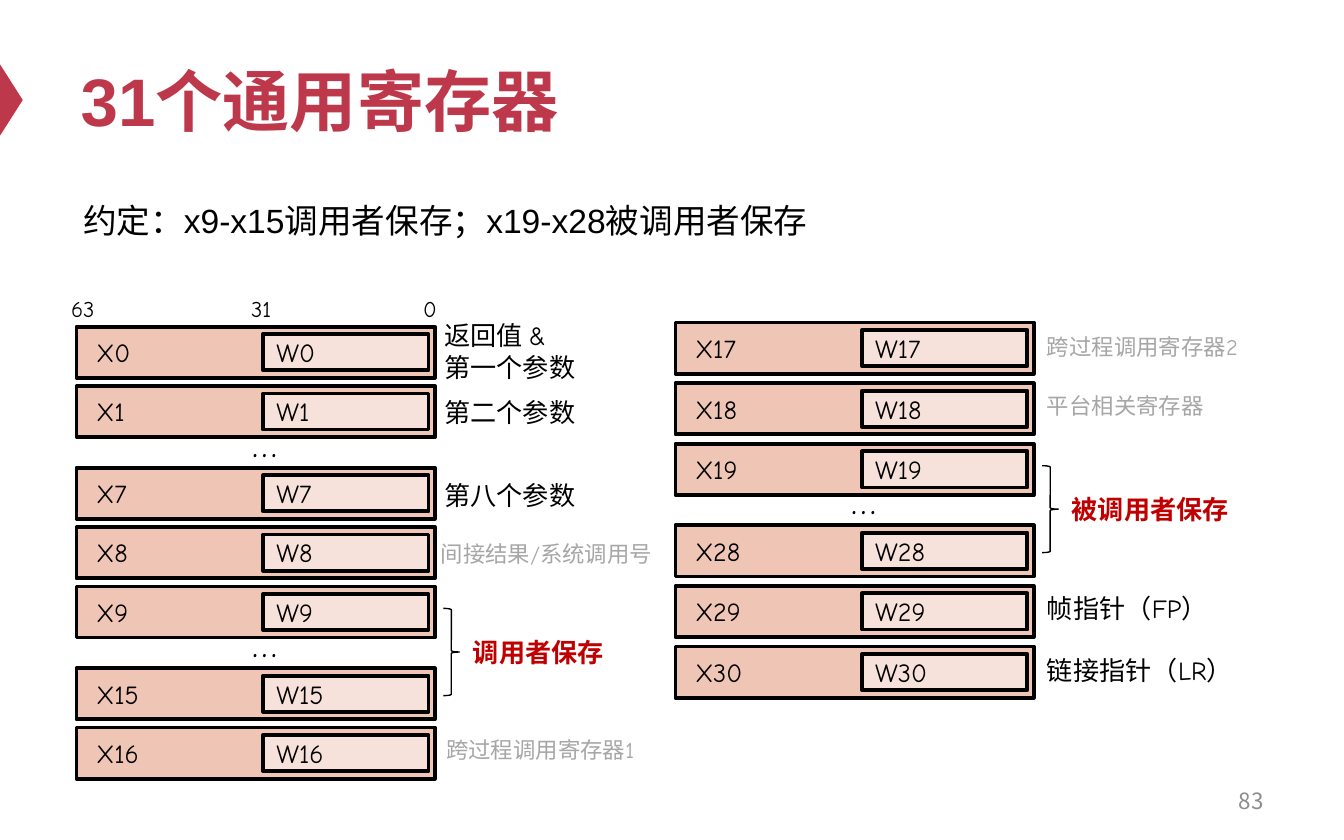
import pptx
import pptx.dml.color
import pptx.enum.shapes
import pptx.enum.text
import pptx.oxml
import pptx.oxml.ns
import pptx.util

Pt = pptx.util.Pt
SHAPES = pptx.enum.shapes.MSO_SHAPE
ANCHORS = pptx.enum.text.MSO_ANCHOR
ALIGNS = pptx.enum.text.PP_ALIGN

LATIN, CHINESE = "Comic Neue", "Noto Sans CJK SC"
CRIMSON, BLACK, GREY, RED = "BE384B", "000000", "A6A6A6", "C00000"
ROW_WIDTH, ROW_HEIGHT = 192, 27.4
HALF_LEFT, HALF_WIDTH, HALF_HEIGHT = 100, 88.6, 19.4

# Each row: register number, label, label size, colour, label offset from the row.
LEFT_ROWS = [
    (0, "返回值 &\n第一个参数", 14, BLACK, 190, -7.2),
    (1, "第二个参数", 14, BLACK, 190, 2),
    (7, "第八个参数", 14, BLACK, 190, 2.5),
    (8, "间接结果/系统调用号", 12, GREY, 188, 3.5),
    (9, "", 14, BLACK, 190, 0),
    (15, "", 14, BLACK, 190, 0),
    (16, "跨过程调用寄存器1", 12, GREY, 191, 1),
]
RIGHT_ROWS = [
    (17, "跨过程调用寄存器2", 12, GREY, 192, 2),
    (18, "平台相关寄存器", 12, GREY, 192, 1.5),
    (19, "", 14, BLACK, 192, 0),
    (28, "", 14, BLACK, 192, 0),
    (29, "帧指针（FP）", 14, BLACK, 192, 0),
    (30, "链接指针（LR）", 14, BLACK, 192, 0.5),
]


def colour(value):
    return pptx.dml.color.RGBColor.from_string(value)


def write(frame, text, size, ink, font=LATIN, bold=False):
    """Fill a frame with one paragraph, with a font for each script."""
    para = frame.paragraphs[0]
    para.text = text
    for span in para.runs:
        span.font.size = Pt(size)
        span.font.bold = bold
        span.font.name = font
        span.font.color.rgb = colour(ink)
        east_asian = pptx.oxml.parse_xml(
            f'<a:ea {pptx.oxml.ns.nsdecls("a")} typeface="{CHINESE}"/>')
        span.font._element.append(east_asian)
    return para


def add_text(page, left, top, width, height, text, size=14, ink=BLACK,
             font=LATIN, bold=False, wrap=True):
    box = page.shapes.add_textbox(Pt(left), Pt(top), Pt(width), Pt(height))
    box.text_frame.word_wrap = wrap
    write(box.text_frame, text, size, ink, font, bold)
    return box


def add_shape(page, kind, left, top, width, height, fill=None, line=None):
    shape = page.shapes.add_shape(kind, Pt(left), Pt(top), Pt(width), Pt(height))
    shape.shadow.inherit = False
    if fill:
        shape.fill.solid()
        shape.fill.fore_color.rgb = colour(fill)
    else:
        shape.fill.background()
    if line:
        shape.line.color.rgb = colour(BLACK)
        shape.line.width = Pt(line)
    else:
        shape.line.fill.background()
    return shape


def add_heading(page):
    marker = add_shape(page, SHAPES.ISOSCELES_TRIANGLE, -13, 47.5, 38.2, 12.2, CRIMSON)
    marker.rotation = 90
    title = page.shapes.title
    title.left, title.top, title.width, title.height = Pt(36), Pt(18), Pt(648), Pt(70.6)
    title.text_frame.vertical_anchor = ANCHORS.MIDDLE
    para = write(title.text_frame, "31个通用寄存器", 36, CRIMSON, "Arial", True)
    para.alignment = ALIGNS.LEFT
    add_text(page, 37.4, 103.7, 406, 29, "约定：x9-x15调用者保存；x19-x28被调用者保存",
             18, BLACK, "Arial")


def add_register(page, left, top, number):
    """Draw a 64-bit register with its lower 32-bit half inside."""
    half_left = left + HALF_LEFT
    add_shape(page, SHAPES.RECTANGLE, left, top, ROW_WIDTH, ROW_HEIGHT, "EFC5B6", 2)
    add_shape(page, SHAPES.RECTANGLE, half_left, top + (ROW_HEIGHT - HALF_HEIGHT) / 2,
              HALF_WIDTH, HALF_HEIGHT, "F7E2DB", 2)
    add_text(page, half_left, top + 1.7, 55, 24.2, f"W{number}")
    add_text(page, left + 3.6, top + 1.7, 79, 24.2, f"X{number}")


def add_column(page, left, top, pitch, skip, rows, saved_from, saved_by):
    """Stack registers; a jump in numbers gets a wider gap with an ellipsis."""
    tops = {}
    previous = None
    for number, label, size, ink, shift_x, shift_y in rows:
        if previous is not None:
            skipped = number != previous + 1
            if skipped:
                add_text(page, left + 87, top + 14.5, 27.4, 28.8, "…", 20, wrap=False)
            top += skip if skipped else pitch
        add_register(page, left, top, number)
        if label:
            add_text(page, left + shift_x, top + shift_y, 142, 24.2, label, size, ink)
        tops[number] = top
        previous = number

    first, last = (tops[number] + ROW_HEIGHT / 2 for number in saved_from)
    add_shape(page, SHAPES.RIGHT_BRACE, left + 196.5, first - 2, 8.6,
              last - first + 3, line=0.75)
    add_text(page, left + 205.3, (first + last) / 2 - 12.5, 102, 24.2,
             saved_by, 14, RED, bold=True)


def add_bit_numbers(page, top):
    for left, width, bit in ((31, 27.4, "63"), (127.4, 27.4, "31"), (219.6, 20.9, "0")):
        add_text(page, left, top, width, 21.6, bit, 12, wrap=False)


def add_page_number(page, number):
    box = add_text(page, 516.2, 416.9, 167.8, 23.8, number, 12, "8C8C8C", CHINESE)
    box.text_frame.vertical_anchor = ANCHORS.MIDDLE
    box.text_frame.paragraphs[0].alignment = ALIGNS.RIGHT


def main():
    deck = pptx.Presentation()
    deck.slide_width, deck.slide_height = Pt(720), Pt(450)
    page = deck.slides.add_slide(deck.slide_layouts.get_by_name("Title Only"))
    add_heading(page)
    add_bit_numbers(page, 154.5)
    add_column(page, 41, 175, 31.8, 43.8, LEFT_ROWS, (9, 15), "调用者保存")
    add_column(page, 361.8, 172.8, 32.5, 43.6, RIGHT_ROWS, (19, 28), "被调用者保存")
    add_page_number(page, "83")
    deck.save("out.pptx")


if __name__ == "__main__":
    main()
